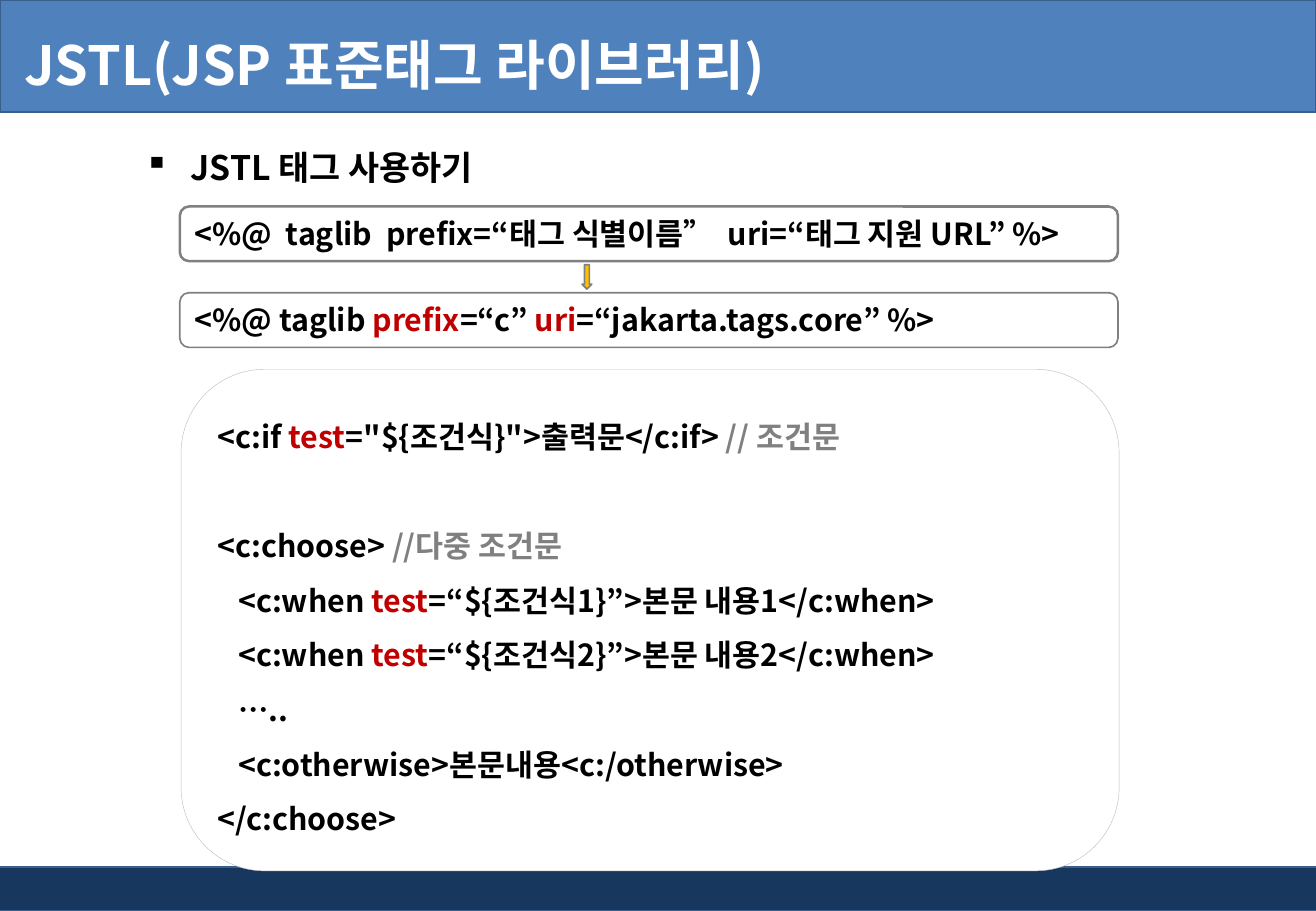
from lxml import etree
from pptx import Presentation
from pptx import util as u
from pptx.dml.color import RGBColor
from pptx.enum import shapes, text
from pptx.oxml.ns import qn

NAVY = RGBColor(0x17, 0x37, 0x5E)
BLUE = RGBColor(0x4F, 0x81, 0xBD)
EDGE = RGBColor(0x3A, 0x5F, 0x8C)
WHITE = RGBColor(255, 255, 255)
BLACK = RGBColor(0, 0, 0)
RED = RGBColor(0xC0, 0, 0)
GRAY = RGBColor(0x80, 0x80, 0x80)
PALE = RGBColor(0xBF, 0xBF, 0xBF)
GOLD = RGBColor(0xFF, 0xC0, 0)
FACE = "Noto Sans CJK KR"
KIND = shapes.MSO_SHAPE

TAGLIB = [[("<%@  taglib  prefix=“태그 식별이름”  uri=“태그 지원 URL” %>", BLACK)]]
CORE = [[("<%@ taglib ", BLACK), ("prefix", RED), ("=“c” ", BLACK),
         ("uri", RED), ("=“jakarta.tags.core” %>", BLACK)]]
WHEN = [[("   <c:when ", BLACK), ("test", RED),
         (f"=“${{조건식{n}}}”>본문 내용{n}</c:when>", BLACK)] for n in (1, 2)]
CODE = [
    [("<c:if ", BLACK), ("test", RED),
     ("=\"${조건식}\">출력문</c:if> ", BLACK), ("// 조건문", GRAY)],
    [("<c:choose> ", BLACK), ("//다중 조건문", GRAY)],
    *WHEN,
    [("   …..", BLACK)],
    [("   <c:otherwise>본문내용<c:/otherwise>", BLACK)],
    [("</c:choose>", BLACK)],
]


def apply(item, values):
    for name, value in values.items():
        setattr(item, name, value)


def place(item, box):
    names = ("left", "top", "width", "height")
    apply(item, dict(zip(names, map(u.Inches, box))))


def add_run(para, words, color, size):
    run = para.add_run()
    run.text = words
    apply(run.font, {"name": FACE, "size": u.Pt(size), "bold": True})
    run.font.color.rgb = color
    east = etree.SubElement(run.font._element, qn("a:ea"))
    east.set("typeface", FACE)


def write(frame, lines, size, space=None):
    for i, line in enumerate(lines):
        para = frame.paragraphs[0] if i == 0 else frame.add_paragraph()
        apply(para, {"alignment": text.PP_ALIGN.LEFT, "line_spacing": space})
        for words, color in line:
            add_run(para, words, color, size)


def add_box(slide, kind, box, fill, edge, width):
    shape = slide.shapes.add_shape(kind, *map(u.Inches, box))
    shape.shadow.inherit = False
    shape.fill.solid()
    shape.fill.fore_color.rgb = fill
    shape.line.color.rgb = edge
    shape.line.width = u.Pt(width)
    return shape


def add_code(slide, box, lines, edge, width, space=None):
    shape = add_box(slide, KIND.ROUNDED_RECTANGLE, box, WHITE, edge, width)
    frame = shape.text_frame
    apply(frame, {"word_wrap": True,
                  "vertical_anchor": text.MSO_ANCHOR.TOP,
                  "auto_size": text.MSO_AUTO_SIZE.SHAPE_TO_FIT_TEXT})
    write(frame, lines, 18, space)
    return frame


def add_title(slide):
    title = slide.shapes.title
    place(title, (0, 0.06, 8.74, 0.94))
    frame = title.text_frame
    apply(frame, {"word_wrap": True, "margin_left": u.Inches(0.2),
                  "vertical_anchor": text.MSO_ANCHOR.MIDDLE,
                  "auto_size": text.MSO_AUTO_SIZE.NONE})
    write(frame, [[("JSTL(JSP 표준태그 라이브러리)", WHITE)]], 32)
    title.element.getparent().append(title.element)


def add_topic(slide):
    box = map(u.Inches, (1.09, 0.99, 5.35, 0.54))
    frame = slide.shapes.add_textbox(*box).text_frame
    apply(frame, {"word_wrap": True,
                  "auto_size": text.MSO_AUTO_SIZE.SHAPE_TO_FIT_TEXT})
    props = frame.paragraphs[0]._p.get_or_add_pPr()
    props.set("marL", str(u.Inches(0.38)))
    props.set("indent", str(u.Inches(-0.38)))
    etree.SubElement(props, qn("a:buChar")).set("char", "▪")
    write(frame, [[("JSTL 태그 사용하기", BLACK)]], 20, 1.5)


def main():
    deck = Presentation()
    apply(deck, {"slide_width": u.Inches(10.83),
                 "slide_height": u.Inches(7.5)})
    slide = deck.slides.add_slide(deck.slide_layouts[5])
    add_box(slide, KIND.RECTANGLE, (-0.04, 7.14, 10.88, 0.36), NAVY, EDGE, 1)
    add_box(slide, KIND.RECTANGLE, (0, 0, 10.83, 0.92), BLUE, EDGE, 1)
    add_title(slide)
    add_topic(slide)
    add_code(slide, (1.48, 1.7, 7.72, 0.45), TAGLIB, GRAY, 1.5)
    add_code(slide, (1.48, 2.41, 7.72, 0.45), CORE, GRAY, 1)
    add_box(slide, KIND.DOWN_ARROW, (4.79, 2.18, 0.08, 0.2), GOLD, GRAY, 1)
    frame = add_code(slide, (1.49, 3.04, 7.72, 4.13), CODE, PALE, 0.25, 1.5)
    frame.paragraphs[1].space_before = u.Pt(32.4)
    deck.save("out.pptx")


if __name__ == "__main__":
    main()
